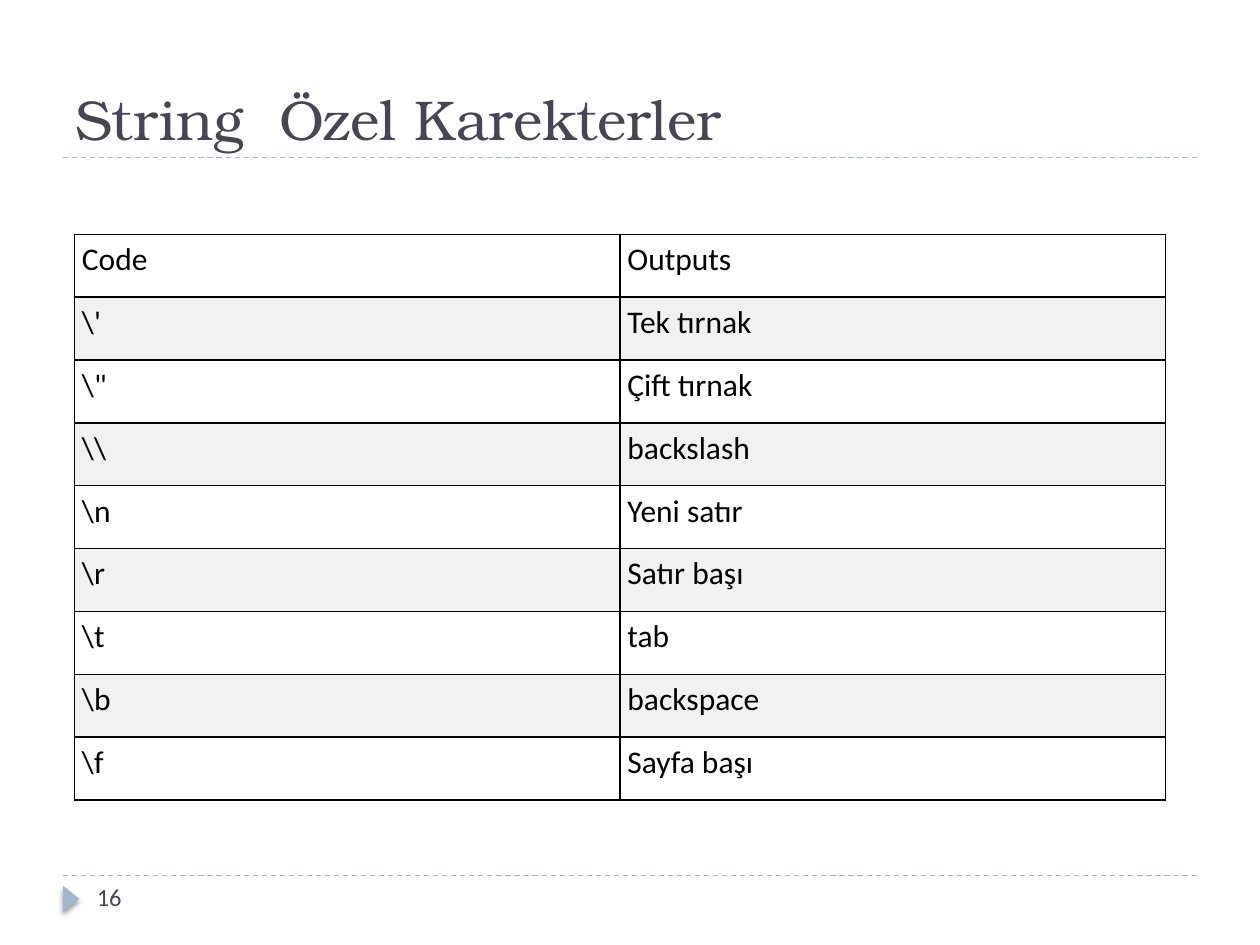
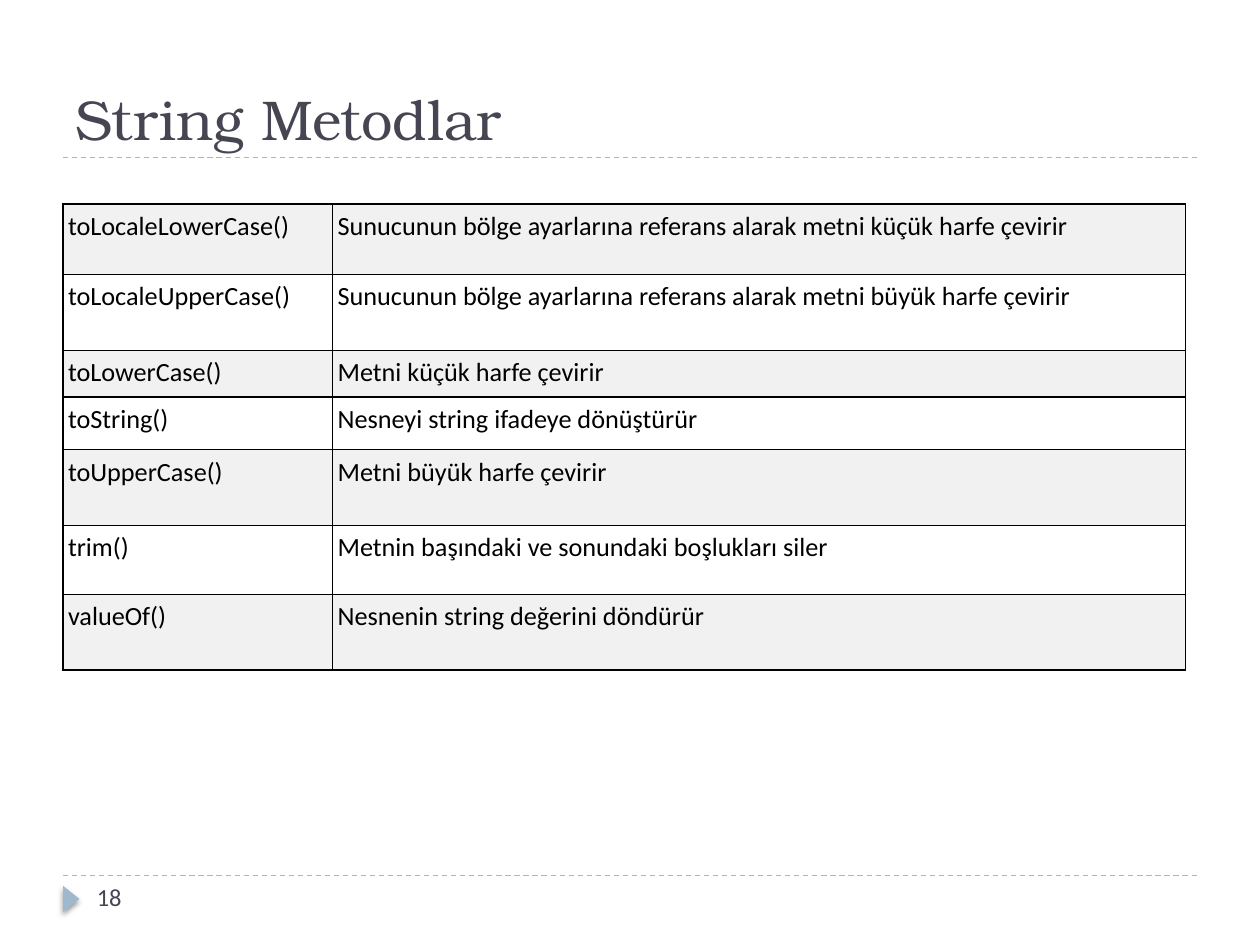
import dataclasses
import itertools
import typing

import lxml.etree
import pptx
import pptx.dml.color
import pptx.enum.dml
import pptx.enum.shapes
import pptx.enum.text
import pptx.oxml.ns
import pptx.slide
import pptx.table
import pptx.text.text
import pptx.util


@dataclasses.dataclass(frozen=True)
class TextStyle:
    font: str
    size: int
    color: str


@dataclasses.dataclass(frozen=True)
class Theme:
    title: TextStyle = TextStyle("TeX Gyre Bonum", 32, "464653")
    number: TextStyle = TextStyle("Calibri", 14, "464653")
    large_cell: TextStyle = TextStyle("Calibri", 18, "000000")
    small_cell: TextStyle = TextStyle("Calibri", 15, "000000")
    accent: str = "9FB8CD"
    border: str = "000000"
    shadow: str = "000000"
    stripes: tuple[str, str] = ("FFFFFF", "F1F1F1")
    rule_width: float = 0.75
    border_width: float = 1


@dataclasses.dataclass(frozen=True)
class Area:
    column: float
    row: float
    columns: float
    rows: float

    def lengths(self) -> tuple[int, int, int, int]:
        return across(self.column), down(self.row), across(self.columns), down(self.rows)


@dataclasses.dataclass(frozen=True)
class TableSpec:
    column: float
    row: float
    widths: tuple[float, ...]
    heights: tuple[float, ...]
    side_margin: float
    style: TextStyle
    first_stripe: int
    cells: tuple[tuple[str, str], ...]


@dataclasses.dataclass(frozen=True)
class PageSpec:
    title: str
    number: str
    table: TableSpec


THEME = Theme()
SLIDE_WIDTH = pptx.util.Inches(10)
SLIDE_HEIGHT = pptx.util.Inches(7.5)
GRID_COLUMNS = 100
GRID_ROWS = 75
MARGIN = 5
TITLE_RULE = 12.5
FOOTER_RULE = 69.5
TITLE_AREA = Area(MARGIN, 1.7, GRID_COLUMNS - 2 * MARGIN, TITLE_RULE - 1.7)
NUMBER_AREA = Area(6.7, FOOTER_RULE, 21.7, 4)
MARKER_AREA = Area(4.6, 70.7, 2.1, 1.3)

PAGES = (
    PageSpec("String  Özel Karekterler", "16", TableSpec(
        5.9, 18.6, (43.3,) * 2, (4.99,) * 9, 0.6, THEME.large_cell, 0, (
            ("Code", "Outputs"),
            (r"\'", "Tek tırnak"),
            (r'\"', "Çift tırnak"),
            (r"\\", "backslash"),
            (r"\n", "Yeni satır"),
            (r"\r", "Satır başı"),
            (r"\t", "tab"),
            (r"\b", "backspace"),
            (r"\f", "Sayfa başı"),
        ))),
    PageSpec("String Metodlar", "18", TableSpec(
        MARGIN, 16.2, (21.4, 67.7), (5.6, 6, 3.7, 4.2, 6, 5.5, 6), 0.4, THEME.small_cell, 1, (
            ("toLocaleLowerCase()",
             "Sunucunun bölge ayarlarına referans alarak metni küçük harfe çevirir"),
            ("toLocaleUpperCase()",
             "Sunucunun bölge ayarlarına referans alarak metni büyük harfe çevirir"),
            ("toLowerCase()", "Metni küçük harfe çevirir"),
            ("toString()", "Nesneyi string ifadeye dönüştürür"),
            ("toUpperCase()", "Metni büyük harfe çevirir"),
            ("trim()", "Metnin başındaki ve sonundaki boşlukları siler"),
            ("valueOf()", "Nesnenin string değerini döndürür"),
        ))),
)


def across(columns: float) -> int:
    return round(SLIDE_WIDTH * columns / GRID_COLUMNS)


def down(rows: float) -> int:
    return round(SLIDE_HEIGHT * rows / GRID_ROWS)


def rgb(color: str) -> pptx.dml.color.RGBColor:
    return pptx.dml.color.RGBColor.from_string(color)


def add_node(parent: typing.Any, tag: str, **attributes: typing.Any) -> typing.Any:
    values = {name: str(value) for name, value in attributes.items()}
    return lxml.etree.SubElement(parent, pptx.oxml.ns.qn(tag), values)


def write(frame: pptx.text.text.TextFrame, text: str, style: TextStyle) -> None:
    frame.text = text
    for para in frame.paragraphs:
        for span in para.runs:
            span.font.name = style.font
            span.font.size = pptx.util.Pt(style.size)
            span.font.color.rgb = rgb(style.color)


def add_text(page: pptx.slide.Slide, area: Area, text: str, style: TextStyle,
             anchor: pptx.enum.text.MSO_ANCHOR) -> None:
    box = page.shapes.add_textbox(*area.lengths())
    box.text_frame.word_wrap = True
    box.text_frame.vertical_anchor = anchor
    write(box.text_frame, text, style)


def add_rule(page: pptx.slide.Slide, row: float) -> None:
    rule = page.shapes.add_connector(
        pptx.enum.shapes.MSO_CONNECTOR.STRAIGHT,
        across(MARGIN), down(row), across(GRID_COLUMNS - MARGIN), down(row))
    rule.line.color.rgb = rgb(THEME.accent)
    rule.line.width = pptx.util.Pt(THEME.rule_width)
    rule.line.dash_style = pptx.enum.dml.MSO_LINE.DASH
    add_node(rule._element.spPr, "a:effectLst")


def add_marker(page: pptx.slide.Slide) -> None:
    marker = page.shapes.add_shape(
        pptx.enum.shapes.MSO_SHAPE.ISOSCELES_TRIANGLE, *MARKER_AREA.lengths())
    marker.rotation = 90
    marker.fill.solid()
    marker.fill.fore_color.rgb = rgb(THEME.accent)
    marker.line.fill.background()
    marker.shadow.inherit = False
    effects = marker._element.spPr.find(pptx.oxml.ns.qn("a:effectLst"))
    shadow = add_node(effects, "a:outerShdw", blurRad=pptx.util.Pt(3),
                      dist=pptx.util.Pt(2), dir=90 * 60000, rotWithShape=0)
    color = add_node(shadow, "a:srgbClr", val=THEME.shadow)
    add_node(color, "a:alpha", val=40000)


def add_borders(cell: pptx.table._Cell) -> None:
    properties = cell._tc.get_or_add_tcPr()
    for side in ("L", "R", "T", "B"):
        line = add_node(properties, f"a:ln{side}", w=pptx.util.Pt(THEME.border_width))
        add_node(add_node(line, "a:solidFill"), "a:srgbClr", val=THEME.border)


def add_table(page: pptx.slide.Slide, spec: TableSpec) -> None:
    area = Area(spec.column, spec.row, sum(spec.widths), sum(spec.heights))
    table = page.shapes.add_table(
        len(spec.heights), len(spec.widths), *area.lengths()).table
    table.first_row = False
    table.horz_banding = False
    for column, width in zip(table.columns, spec.widths):
        column.width = across(width)
    for row, height in zip(table.rows, spec.heights):
        row.height = down(height)
    for cell, text in zip(table.iter_cells(), itertools.chain.from_iterable(spec.cells)):
        cell.margin_left = cell.margin_right = across(spec.side_margin)
        write(cell.text_frame, text, spec.style)
        add_borders(cell)
    for index, row in enumerate(table.rows, spec.first_stripe):
        for cell in row.cells:
            cell.fill.solid()
            cell.fill.fore_color.rgb = rgb(THEME.stripes[index % 2])


def add_page(deck: typing.Any, spec: PageSpec) -> None:
    page = deck.slides.add_slide(deck.slide_layouts[6])
    for row in (FOOTER_RULE, TITLE_RULE):
        add_rule(page, row)
    add_marker(page)
    add_text(page, TITLE_AREA, spec.title, THEME.title, pptx.enum.text.MSO_ANCHOR.BOTTOM)
    add_text(page, NUMBER_AREA, spec.number, THEME.number, pptx.enum.text.MSO_ANCHOR.TOP)
    add_table(page, spec.table)


def main() -> None:
    deck = pptx.Presentation()
    deck.slide_width = SLIDE_WIDTH
    deck.slide_height = SLIDE_HEIGHT
    for spec in PAGES:
        add_page(deck, spec)
    deck.save("out.pptx")


if __name__ == "__main__":
    main()
